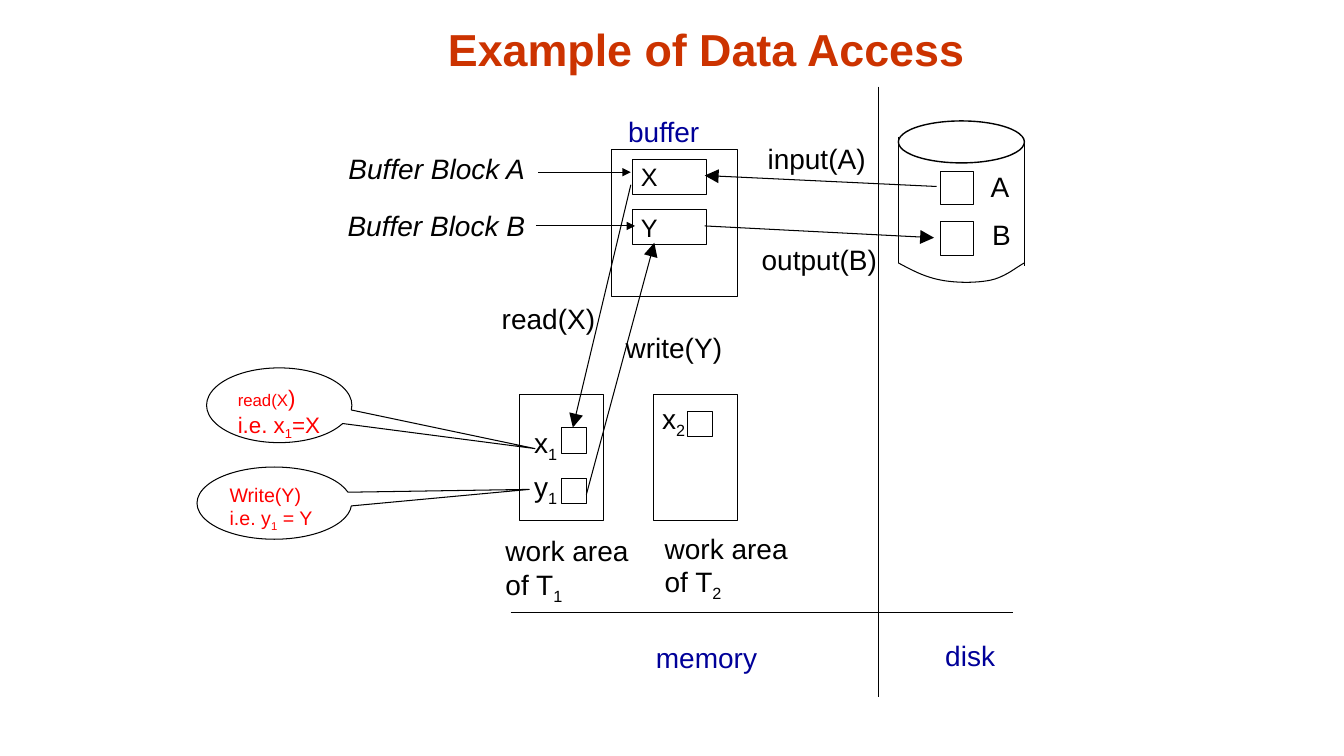
from dataclasses import dataclass

from lxml import etree
from pptx import Presentation
from pptx import util as u
from pptx.dml.color import RGBColor
from pptx.enum import shapes, text
from pptx.oxml.ns import qn

CELL = u.Inches(1) / 12  # the slide is a grid of 160 columns by 90 rows
COLUMNS, ROWS = 160, 90


@dataclass(frozen=True)
class Theme:
    font: str = "Arial"
    ink: str = "000000"
    title: str = "CC3300"
    place: str = "000099"
    note: str = "FF0000"
    paper: str = "FFFFFF"
    title_size: int = 32
    label_size: int = 20
    block_size: int = 18
    note_size: int = 16
    small_note_size: int = 14
    tiny_note_size: int = 12
    line: float = 0.75
    rim: float = 1


THEME = Theme()


def cells(*counts):
    return [u.Emu(round(count * CELL)) for count in counts]


def write(box, lines, size=THEME.label_size, color=THEME.ink, bold=False, italic=False,
          align=text.PP_ALIGN.LEFT):
    """Fill a box with lines; the character after an underscore is a subscript."""
    frame = box.text_frame
    for index, line in enumerate(lines):
        para = frame.paragraphs[0] if index == 0 else frame.add_paragraph()
        para.alignment = align
        font = para.font
        font.name, font.size, font.bold, font.italic = THEME.font, u.Pt(size), bold, italic
        font.color.rgb = RGBColor.from_string(color)
        plain, *rest = line.split("_")
        para.add_run().text = plain
        for part in rest:
            lowered = para.add_run()
            lowered.text = part[0]
            lowered._r.get_or_add_rPr().set("baseline", "-25000")
            if part[1:]:
                para.add_run().text = part[1:]


def label(page, left, top, width, *lines, height=5.2, **style):
    box = page.shapes.add_textbox(*cells(left, top, width, height))
    box.text_frame.word_wrap = False
    box.text_frame.auto_size = text.MSO_AUTO_SIZE.SHAPE_TO_FIT_TEXT
    write(box, lines, **style)


def outline(shape, width=THEME.line, fill=None):
    shape.shadow.inherit = False
    if fill:
        shape.fill.solid()
        shape.fill.fore_color.rgb = RGBColor.from_string(fill)
    else:
        shape.fill.background()
    shape.line.color.rgb = RGBColor.from_string(THEME.ink)
    shape.line.width = u.Pt(width)
    return shape


def rectangle(page, left, top, width, height):
    kind = shapes.MSO_SHAPE.RECTANGLE
    return outline(page.shapes.add_shape(kind, *cells(left, top, width, height)))


def line(page, start, end, head=None):
    link = page.shapes.add_connector(shapes.MSO_CONNECTOR.STRAIGHT, *cells(*start, *end))
    link.line.color.rgb = RGBColor.from_string(THEME.ink)
    link.line.width = u.Pt(THEME.line)
    if head:
        etree.SubElement(link.line._get_or_add_ln(), qn("a:tailEnd"),
                         type="triangle", w=head, len=head)
    etree.SubElement(link._element.spPr, qn("a:effectLst"))


def bezier(start, first, second, end, steps=12):
    for step in range(1, steps + 1):
        t = step / steps
        weights = (1 - t) ** 3, 3 * t * (1 - t) ** 2, 3 * t * t * (1 - t), t ** 3
        points = start, first, second, end
        yield tuple(sum(w * p[axis] for w, p in zip(weights, points)) for axis in (0, 1))


def add_title(page, left, top, width, height):
    box = page.shapes.add_textbox(*cells(left, top, width, height))
    box.text_frame.word_wrap = True
    box.text_frame.vertical_anchor = text.MSO_ANCHOR.BOTTOM
    write(box, ["Example of Data Access"], THEME.title_size, THEME.title, bold=True,
          align=text.PP_ALIGN.CENTER)


def add_buffer(page, left, top, width, height):
    rectangle(page, left, top, width, height)
    label(page, left + 0.8, top - 4.75, 12, "buffer", color=THEME.place)
    for row, name in enumerate("XY"):
        block = rectangle(page, left + 2.55, top + 1.15 + 6 * row, 8.75, 4.2)
        block.text_frame.margin_left = u.Inches(0.08)
        block.text_frame.vertical_anchor = text.MSO_ANCHOR.MIDDLE
        write(block, [name], THEME.block_size)


def add_disk(page, left, top, width, height):
    kind = shapes.MSO_SHAPE.OVAL
    outline(page.shapes.add_shape(kind, *cells(left, top, width, 5)), THEME.rim)
    wall = 15
    for x, y in ((left, top + 1.9), (left + width, top + 2.3)):
        line(page, (x, y), (x, y + wall))
    # Curved base
    curve = [(0, 0), (1.56, 0.84), (3.12, 1.68), (5.04, 2.04), (6.84, 2.4), (9.36, 2.4),
             (11.04, 2.04), (12.72, 1.68), (14.28, 0.36), (15, 0)]
    points = [point for first in (0, 3, 6) for point in bezier(*curve[first:first + 4])]
    base = top + height
    builder = page.shapes.build_freeform(*cells(left, base))
    builder.add_line_segments([cells(left + x, base + y) for x, y in points], close=False)
    outline(builder.convert_to_shape())
    # Stored blocks
    for row, name in enumerate("AB"):
        rectangle(page, left + 5, top + 6 + 6 * row, 4, 4)
        label(page, left + 9.8 + 0.2 * row, top + 5.15 + 5.75 * row, 5, name)


def add_work_area(page, left, top, width, height, slots, names, caption):
    rectangle(page, left, top, width, height)
    for x, y in slots:
        rectangle(page, left + x, top + y, 3, 3)
    for name, x, y in names:
        label(page, left + x, top + y, 6, name)
    name, x, y = caption
    label(page, left + x, top + y, 18, "work area", f"of {name}", height=9.2)


def add_callout(page, left, top, width, height, tip, lines, size):
    kind = shapes.MSO_SHAPE.OVAL_CALLOUT
    bubble = outline(page.shapes.add_shape(kind, *cells(left, top, width, height)),
                     fill=THEME.paper)
    bubble.adjustments[0], bubble.adjustments[1] = tip
    bubble.text_frame.word_wrap = False
    bubble.text_frame.vertical_anchor = text.MSO_ANCHOR.TOP
    write(bubble, lines, size, THEME.note)
    return bubble


def add_transfers(page):
    for name, x, y in (("input(A)", 90.2, 16.2), ("output(B)", 89.5, 28.3),
                       ("read(X)", 58.55, 35.3), ("write(Y)", 73.3, 38.8)):
        label(page, x, y, 18, name)
    for name, x, y in (("A", 40.3, 17.4), ("B", 40.2, 24.2)):
        label(page, x, y, 25, f"Buffer Block {name}", italic=True)
    for start, end, head in (
            ((64.1, 20.5), (75.1, 20.5), "med"), ((63.8, 26.9), (75.6, 26.9), "med"),
            ((111.5, 22.2), (83.9, 20.9), "lg"), ((83.9, 26.9), (111.2, 28.3), "lg"),
            ((75.1, 22), (68.2, 50.9), "lg"), ((69.8, 58.9), (77.9, 28.9), "lg")):
        line(page, start, end, head)


def add_divisions(page):
    line(page, (60.8, 72.95), (120.6, 72.95))
    line(page, (104.55, 10.3), (104.55, 83))
    label(page, 76.9, 75.6, 18, "memory", color=THEME.place)
    label(page, 111.35, 75.45, 10, "disk", color=THEME.place)


def main():
    deck = Presentation()
    deck.slide_width, deck.slide_height = cells(COLUMNS, ROWS)
    page = deck.slides.add_slide(deck.slide_layouts[6])
    add_title(page, 13.4, 1.6, 141.4, 8)
    add_buffer(page, 72.8, 17.8, 15, 17.5)
    add_disk(page, 106.95, 14.4, 15, 16.9)
    add_work_area(page, 61.8, 46.95, 10, 15, [(5, 4), (5, 10)],
                  [("x_1", 0.6, 3.1), ("y_1", 0.6, 8.4)], ("T_1", -2.8, 16))
    add_work_area(page, 77.85, 46.95, 10, 15, [(4, 2)], [("x_2", -0.2, 0.2)],
                  ("T_2", 0.1, 15.7))
    add_divisions(page)
    add_transfers(page)
    # Notes on the two operations
    reading = add_callout(page, 24.6, 43.8, 17.3, 8.9, (1.76, 0.58),
                          ["read(X", "i.e. x_1=X"], THEME.note_size)
    first = reading.text_frame.paragraphs[0]
    first.runs[0].font.size = u.Pt(THEME.tiny_note_size)
    first.add_run().text = ")"
    add_callout(page, 23.45, 55.6, 18.4, 8.6, (1.65, -0.19),
                ["Write(Y)", "i.e. y_1 = Y"], THEME.small_note_size)
    deck.save("out.pptx")


if __name__ == "__main__":
    main()
